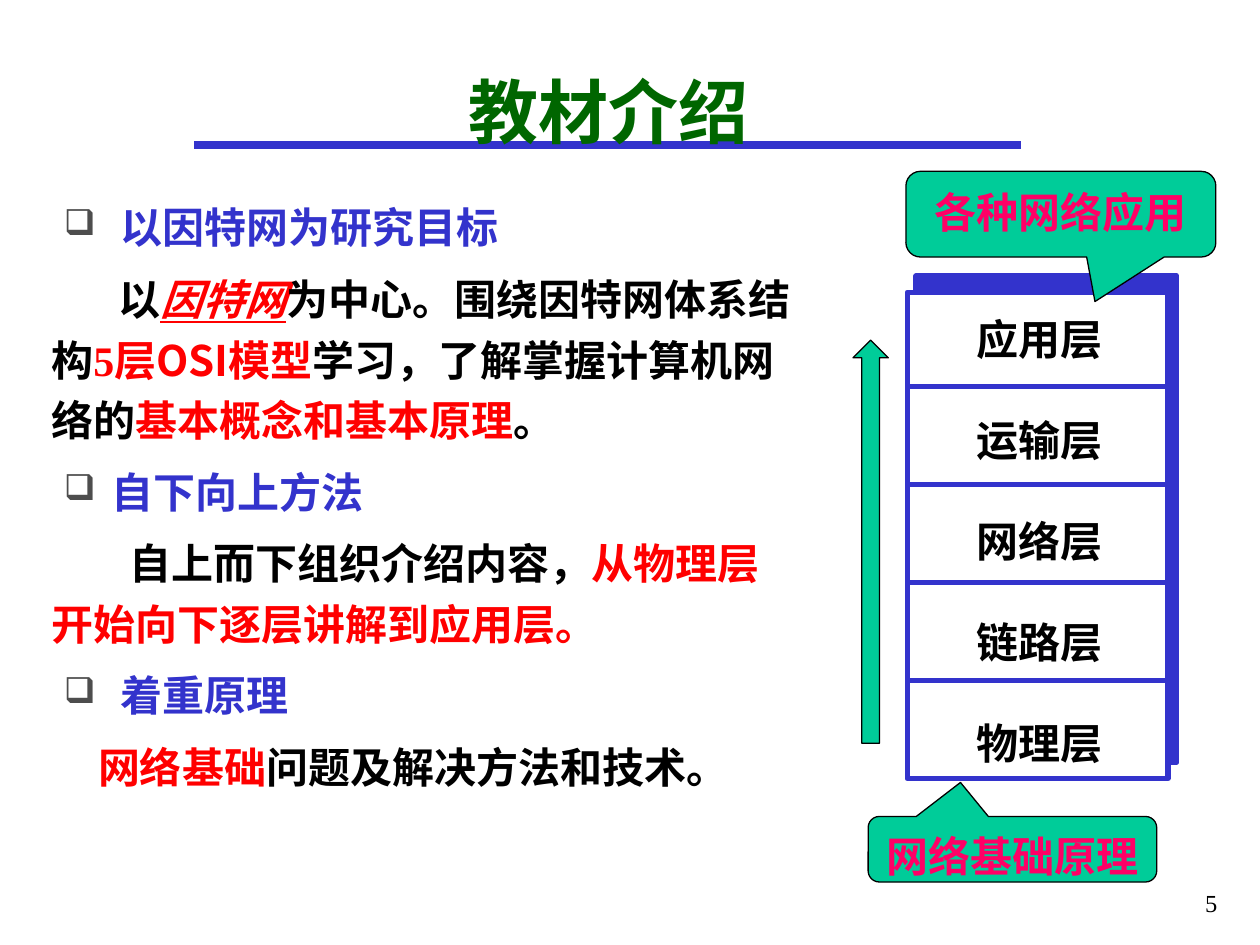
"""Build the textbook introduction slide with its five-layer network stack."""
from dataclasses import dataclass
from typing import NamedTuple

from lxml.etree import SubElement
from pptx import Presentation
from pptx.dml.color import RGBColor
from pptx.enum.shapes import MSO_CONNECTOR, MSO_SHAPE
from pptx.enum.text import MSO_ANCHOR, PP_ALIGN
from pptx.oxml.ns import qn
from pptx.util import Inches, Pt

COLORS = {
    "blue": "3333CC", "green": "006600", "red": "FF0000", "pink": "FF0066",
    "mint": "00CC99", "gray": "4D4D4D", "black": "000000", "white": "FFFFFF",
}
SERIF, SANS, COMIC = "Times New Roman", "Noto Sans CJK SC", "Comic Neue"
COLUMNS, ROWS = 100, 75
CELL = Inches(0.1)
LAYERS = ("应用层", "运输层", "网络层", "链路层", "物理层")


class Frame(NamedTuple):
    """Left, top, width and height in grid cells."""
    left: float
    top: float
    width: float
    height: float

    def lengths(self) -> list[int]:
        """Return the frame in slide units."""
        return [round(value * CELL) for value in self]


@dataclass
class Span:
    """A run of text with one look."""
    text: str
    color: str = "black"
    face: str = SANS
    size: float = 24
    bold: bool = True
    italic: bool = False
    underline: bool = False


@dataclass
class Para:
    """A paragraph of spans, with spacing in points and indents in cells."""
    spans: list[Span]
    align: PP_ALIGN = PP_ALIGN.LEFT
    line: float | None = None
    before: float = 0
    margin: float = 0
    indent: float = 0
    bullet: bool = False


@dataclass
class Callout:
    """A speech bubble with one line of text."""
    frame: Frame
    adjustments: tuple[float, float, float]
    text: str


def color(name: str) -> RGBColor:
    """Look up a named colour."""
    return RGBColor.from_string(COLORS[name])


def add_bullet(properties) -> None:
    """Give paragraph properties a gray box bullet."""
    shade = SubElement(properties, qn("a:buClr"))
    SubElement(shade, qn("a:srgbClr"), val=COLORS["gray"])
    SubElement(properties, qn("a:buSzPct"), val="85000")
    SubElement(properties, qn("a:buChar"), char="❑")


def write(frame, paras: list[Para], anchor=MSO_ANCHOR.TOP, wrap: bool = True) -> None:
    """Fill a text frame with paragraphs."""
    frame.word_wrap, frame.vertical_anchor = wrap, anchor
    for index, para in enumerate(paras):
        target = frame.add_paragraph() if index else frame.paragraphs[0]
        properties = target._p.get_or_add_pPr()
        properties.set("marL", str(round(para.margin * CELL)))
        properties.set("indent", str(round(para.indent * CELL)))
        if para.bullet:
            add_bullet(properties)
        formats = {"alignment": para.align, "space_before": Pt(para.before if index else 0)}
        if para.line:
            formats["line_spacing"] = Pt(para.line)
        for name, value in formats.items():
            setattr(target, name, value)
        for span in para.spans:
            write_span(target, span)


def write_span(target, span: Span) -> None:
    """Add one span to a paragraph."""
    run = target.add_run()
    run.text = span.text
    formats = {"name": span.face, "size": Pt(span.size), "bold": span.bold,
               "italic": span.italic, "underline": span.underline}
    for name, value in formats.items():
        setattr(run.font, name, value)
    run.font.color.rgb = color(span.color)
    SubElement(run._r.get_or_add_rPr(), qn("a:ea"), typeface=SANS)


def add_text(page, frame: Frame, paras: list[Para], **options) -> None:
    """Add a text box."""
    write(page.shapes.add_textbox(*frame.lengths()).text_frame, paras, **options)


def add_box(page, kind, frame: Frame, fill: str, line: str, weight: float, adjustments=()):
    """Add a filled and outlined preset shape."""
    box = page.shapes.add_shape(kind, *frame.lengths())
    box.shadow.inherit = False
    box.fill.solid()
    box.fill.fore_color.rgb = color(fill)
    box.line.color.rgb = color(line)
    box.line.width = Pt(weight)
    for index, value in enumerate(adjustments):
        box.adjustments[index] = value
    return box


def add_rule(page, left: float, right: float, row: float, weight: float) -> None:
    """Add a horizontal blue line."""
    ends = [round(value * CELL) for value in (left, row, right, row)]
    rule = page.shapes.add_connector(MSO_CONNECTOR.STRAIGHT, *ends)
    rule.line.color.rgb = color("blue")
    rule.line.width = Pt(weight)
    SubElement(rule._element.spPr, qn("a:effectLst"))


def heading(text: str, margin: float) -> Para:
    """Make a bulleted blue heading."""
    return Para([Span(text, "blue", SERIF)], line=34.8, before=6,
                margin=margin, indent=1 - margin, bullet=True)


def passage(indent: float, *spans: Span) -> Para:
    """Make a body paragraph with a first-line indent."""
    return Para(list(spans), line=34.8, before=6, indent=indent)


def add_stack(page) -> None:
    """Draw the layer stack with its offset backing."""
    stack = Frame(72, 23.2, 20.7, 38.6)
    backing = stack._replace(left=stack.left + 0.7, top=stack.top - 1.3)
    for frame, fill in ((backing, "blue"), (stack, "white")):
        add_box(page, MSO_SHAPE.RECTANGLE, frame, fill, "blue", 3)
    labels = [Para([Span(name, face=COMIC)], PP_ALIGN.CENTER, line=28.9, before=28.8)
              for name in LAYERS]
    add_text(page, Frame(76.5, 24.4, 12, 37), labels, wrap=False)
    for index in range(len(LAYERS) - 1):
        add_rule(page, stack.left, stack.left + stack.width, 30.7 + 7.77 * index, 3)


def add_callout(page, callout: Callout) -> None:
    """Draw a speech bubble."""
    box = add_box(page, MSO_SHAPE.ROUNDED_RECTANGULAR_CALLOUT, callout.frame,
                  "mint", "black", 0.75, callout.adjustments)
    write(box.text_frame, [Para([Span(callout.text, "pink")], PP_ALIGN.CENTER, line=31.5)])


def main() -> None:
    """Build and save the deck."""
    deck = Presentation()
    deck.slide_width, deck.slide_height = COLUMNS * CELL, ROWS * CELL
    page = deck.slides.add_slide(deck.slide_layouts[6])
    add_rule(page, 15.4, 81, 11.5, 4.5)
    add_text(page, Frame(90.8, 70, 6.8, 5),
             [Para([Span("5", face=SERIF, size=14, bold=False)], PP_ALIGN.RIGHT)])
    add_text(page, Frame(5.8, 2.5, 85, 12.5),
             [Para([Span("教材介绍", "green", SERIF, 40)], PP_ALIGN.CENTER)],
             anchor=MSO_ANCHOR.MIDDLE)
    add_text(page, Frame(3.1, 14.7, 60.7, 50), [
        heading("以因特网为研究目标", 5.5),
        passage(5.3, Span("以"), Span("因特网", "red", italic=True, underline=True),
                Span("为中心。围绕因特网体系结构"), Span("5", "red", SERIF),
                Span("层OSI模型", "red"), Span("学习，了解掌握计算机网络的"),
                Span("基本概念和基本原理", "red"), Span("。")),
        heading("自下向上方法", 4.8),
        passage(6.2, Span("自上而下组织介绍内容，"),
                Span("从物理层开始向下逐层讲解到应用层。", "red")),
        heading("着重原理", 5.5),
        passage(3.7, Span("网络基础", "red"), Span("问题及解决方法和技术。")),
    ])
    add_stack(page)
    add_box(page, MSO_SHAPE.UP_ARROW, Frame(67.7, 27, 2.8, 32), "mint", "black", 0.75, (0.5, 0.5))
    for callout in (
        Callout(Frame(71.9, 13.6, 24.6, 6.8), (0.11, 1.02, 0.17), "各种网络应用"),
        Callout(Frame(68.9, 64.8, 22.9, 5.2), (-0.18, -1.02, 0.17), "网络基础原理"),
    ):
        add_callout(page, callout)
    deck.save("out.pptx")


if __name__ == "__main__":
    main()
